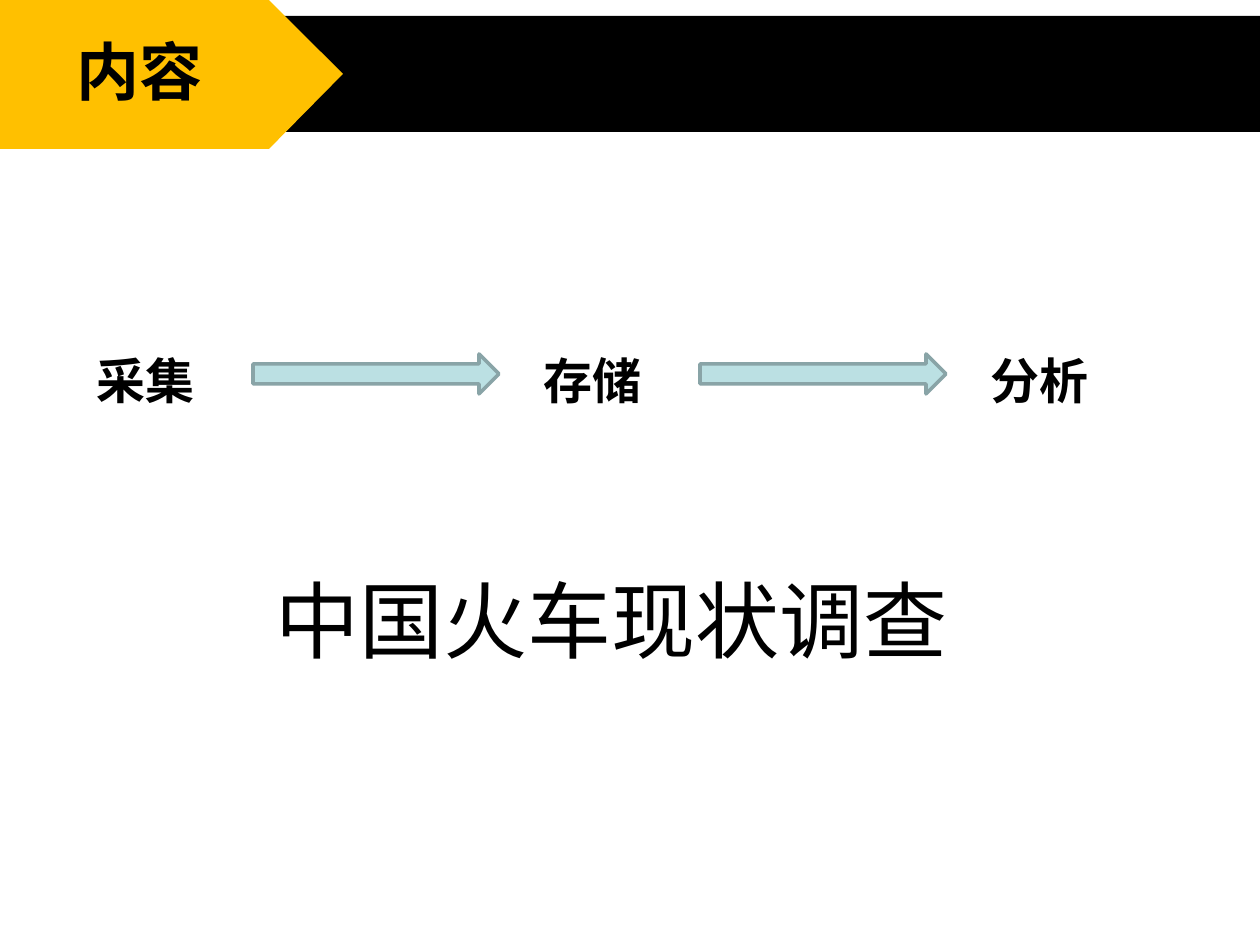
from dataclasses import dataclass

from lxml import etree
from pptx import Presentation
from pptx.dml.color import RGBColor
from pptx.enum import shapes, text
from pptx.oxml import ns
from pptx.util import Emu, Pt

PIXEL = 914400 // 126
COLORS = {"black": "000000", "amber": "FFC000", "arrow": "BBE0E3", "edge": "89A4A7"}


@dataclass
class Box:
    left: int
    top: int
    width: int
    height: int

    def emu(self) -> list[Emu]:
        return [px(n) for n in (self.left, self.top, self.width, self.height)]


@dataclass
class Label:
    words: str
    box: Box
    size: int
    bold: bool = True
    font: str = "Arial"


def px(pixels: int) -> Emu:
    return Emu(pixels * PIXEL)


def color(name: str) -> RGBColor:
    return RGBColor.from_string(COLORS[name])


def paint(shape, fill: str, edge: str = "") -> None:
    shape.shadow.inherit = False
    shape.fill.solid()
    shape.fill.fore_color.rgb = color(fill)
    if edge:
        shape.line.color.rgb = color(edge)
        shape.line.width = Pt(2)
    else:
        shape.line.fill.background()


def write(shape, label: Label) -> None:
    shape.left, shape.top, shape.width, shape.height = label.box.emu()
    frame = shape.text_frame
    frame.word_wrap = False
    frame.auto_size = text.MSO_AUTO_SIZE.NONE
    frame.vertical_anchor = text.MSO_ANCHOR.TOP
    paragraph = frame.paragraphs[0]
    paragraph.alignment = text.PP_ALIGN.LEFT
    run = paragraph.add_run()
    run.text = label.words
    run.font.size = Pt(label.size)
    run.font.bold = label.bold
    run.font.name = label.font
    run.font.color.rgb = color("black")
    # Chinese characters take the East Asian typeface
    east_asian = etree.Element(ns.qn("a:ea"), typeface=label.font)
    run.font._element.find(ns.qn("a:latin")).addnext(east_asian)


def add_label(slide, label: Label) -> None:
    write(slide.shapes.add_textbox(*label.box.emu()), label)


def add_arrow(slide, box: Box) -> None:
    arrow = slide.shapes.add_shape(shapes.MSO_SHAPE.RIGHT_ARROW, *box.emu())
    paint(arrow, "arrow", "edge")


presentation = Presentation()
presentation.slide_width, presentation.slide_height = px(1260), px(945)
slide = presentation.slides.add_slide(presentation.slide_layouts[5])

# Header band and pointed tag
band = slide.shapes.add_shape(shapes.MSO_SHAPE.RECTANGLE, *Box(223, 16, 1037, 116).emu())
paint(band, "black")
outline = slide.shapes.build_freeform(0, 0, scale=PIXEL)
outline.add_line_segments([(269, 0), (343, 74), (269, 149), (0, 149)], close=True)
paint(outline.convert_to_shape(), "amber")

# Title, brought in front of the tag
title = slide.shapes.title
slide.shapes.element.append(title.element)
write(title, Label("内容", Box(64, 26, 166, 88), 36, font="Noto Sans CJK SC"))

# Process steps with an arrow between neighbours
STEPS = ["采集", "存储", "分析"]
STEP_LEFT, STEP_PITCH, ARROW_OFFSET = 84, 447, 169
for index, step in enumerate(STEPS):
    left = STEP_LEFT + index * STEP_PITCH
    add_label(slide, Label(step, Box(left, 344, 125, 72), 28))
    if index < len(STEPS) - 1:
        add_arrow(slide, Box(left + ARROW_OFFSET, 354, 246, 40))

# Topic
add_label(slide, Label("中国火车现状调查", Box(263, 562, 733, 113), 48, bold=False))

presentation.save("out.pptx")
